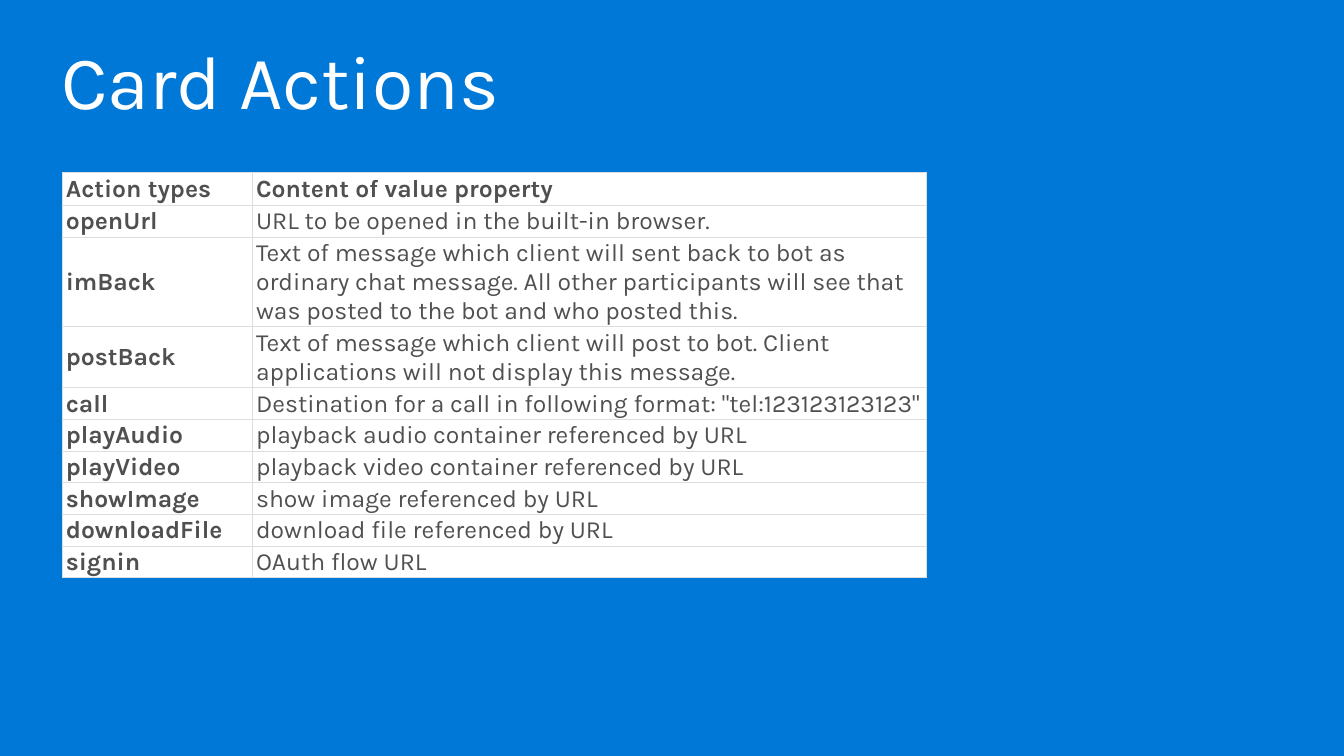
from lxml import etree
from pptx import Presentation
from pptx import util as u
from pptx.dml import color
from pptx.enum import text
from pptx.oxml import ns

Pt = u.Pt
FONT = "Karla"
COLORS = {"background": "0078D7", "title": "FFFFFF", "cell": "FFFFFF",
          "body": "505050", "border": "DDDDDD"}
COLUMN_SHARES = (0.22, 0.78)
HEADER_HEIGHT, LINE_HEIGHT, ROW_PADDING = 24, 21, 2

# Action type, content of its value property, number of text lines
ACTIONS = [
    ("Action types", "Content of value property", 1),
    ("openUrl", "URL to be opened in the built-in browser.", 1),
    ("imBack", "Text of message which client will sent back to bot as ordinary "
     "chat message. All other participants will see that was posted to the bot "
     "and who posted this.", 3),
    ("postBack", "Text of message which client will post to bot. "
     "Client applications will not display this message.", 2),
    ("call", 'Destination for a call in following format: "tel:123123123123"', 1),
    ("playAudio", "playback audio container referenced by URL", 1),
    ("playVideo", "playback video container referenced by URL", 1),
    ("showImage", "show image referenced by URL", 1),
    ("downloadFile", "download file referenced by URL", 1),
    ("signin", "OAuth flow URL", 1),
]


def rgb(name):
    return color.RGBColor.from_string(COLORS[name])


def style_run(paragraph, size, color_name, bold=False):
    font = paragraph.runs[0].font
    font.name, font.size, font.bold = FONT, Pt(size), bold
    font.color.rgb = rgb(color_name)


def add_borders(cell):
    properties = cell._tc.get_or_add_tcPr()
    for position, side in enumerate(("lnL", "lnR", "lnT", "lnB")):
        line = etree.Element(ns.qn(f"a:{side}"), w=str(Pt(0.75)))
        fill = etree.SubElement(line, ns.qn("a:solidFill"))
        etree.SubElement(fill, ns.qn("a:srgbClr"), val=COLORS["border"])
        properties.insert(position, line)


def add_title(slide, left, top, width, height):
    shape = slide.shapes.add_textbox(Pt(left), Pt(top), Pt(width), Pt(height))
    frame = shape.text_frame
    frame.word_wrap = True
    frame.vertical_anchor = text.MSO_ANCHOR.MIDDLE
    frame.text = "Card Actions"
    paragraph = frame.paragraphs[0]
    paragraph.line_spacing = 0.9
    style_run(paragraph, 55.1, "title")


def fill_cell(cell, content, header, bold):
    cell.text = content
    cell.vertical_anchor = text.MSO_ANCHOR.MIDDLE
    cell.margin_left = cell.margin_right = Pt(2.7)
    cell.margin_top = Pt(2) if header else Pt(1.3)
    cell.margin_bottom = Pt(1.3) if header else Pt(0.7)
    cell.fill.solid()
    cell.fill.fore_color.rgb = rgb("cell")
    style_run(cell.text_frame.paragraphs[0], 18, "body", bold)
    add_borders(cell)


def add_action_table(slide, left, top, width):
    heights = [HEADER_HEIGHT] + [lines * LINE_HEIGHT + ROW_PADDING
                                 for _, _, lines in ACTIONS[1:]]
    shape = slide.shapes.add_table(len(ACTIONS), len(COLUMN_SHARES), Pt(left),
                                   Pt(top), Pt(width), Pt(sum(heights)))
    table = shape.table
    table.horz_banding = False
    for column, share in zip(table.columns, COLUMN_SHARES):
        column.width = Pt(width * share)
    for index, (action, height) in enumerate(zip(ACTIONS, heights)):
        table.rows[index].height = Pt(height)
        header = index == 0
        for column_index, content in enumerate(action[:2]):
            fill_cell(table.cell(index, column_index), content, header,
                      header or column_index == 0)


def build_card_actions(presentation):
    slide = presentation.slides.add_slide(presentation.slide_layouts[6])
    # Background
    slide.background.fill.solid()
    slide.background.fill.fore_color.rgb = rgb("background")
    # Table of action types
    add_action_table(slide, 45.3, 125.3, 630)
    # Title
    add_title(slide, 37.4, 8.6, 890, 106.6)


def main():
    presentation = Presentation()
    presentation.slide_width, presentation.slide_height = Pt(979.2), Pt(550.8)
    build_card_actions(presentation)
    presentation.save("out.pptx")


if __name__ == "__main__":
    main()
